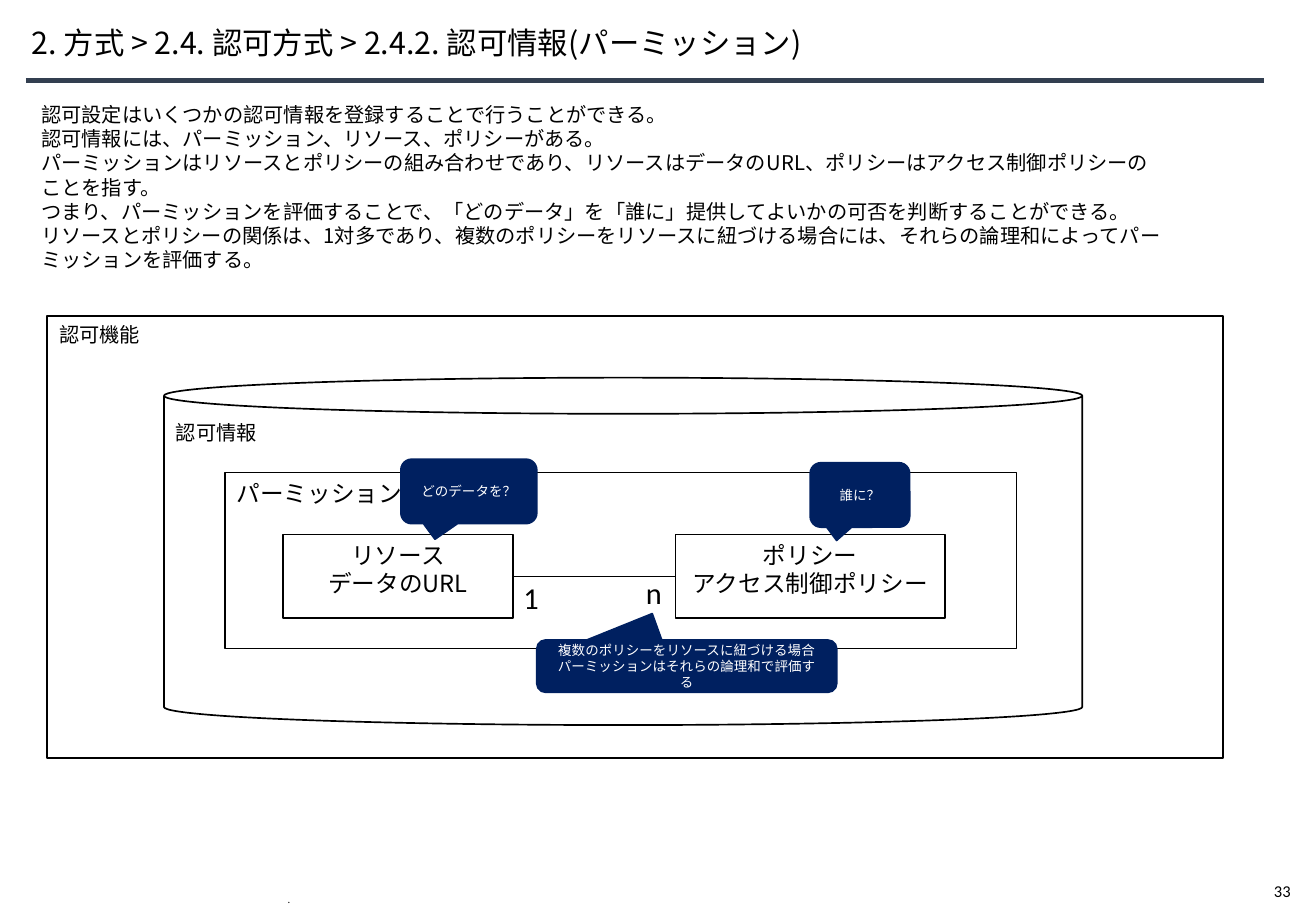
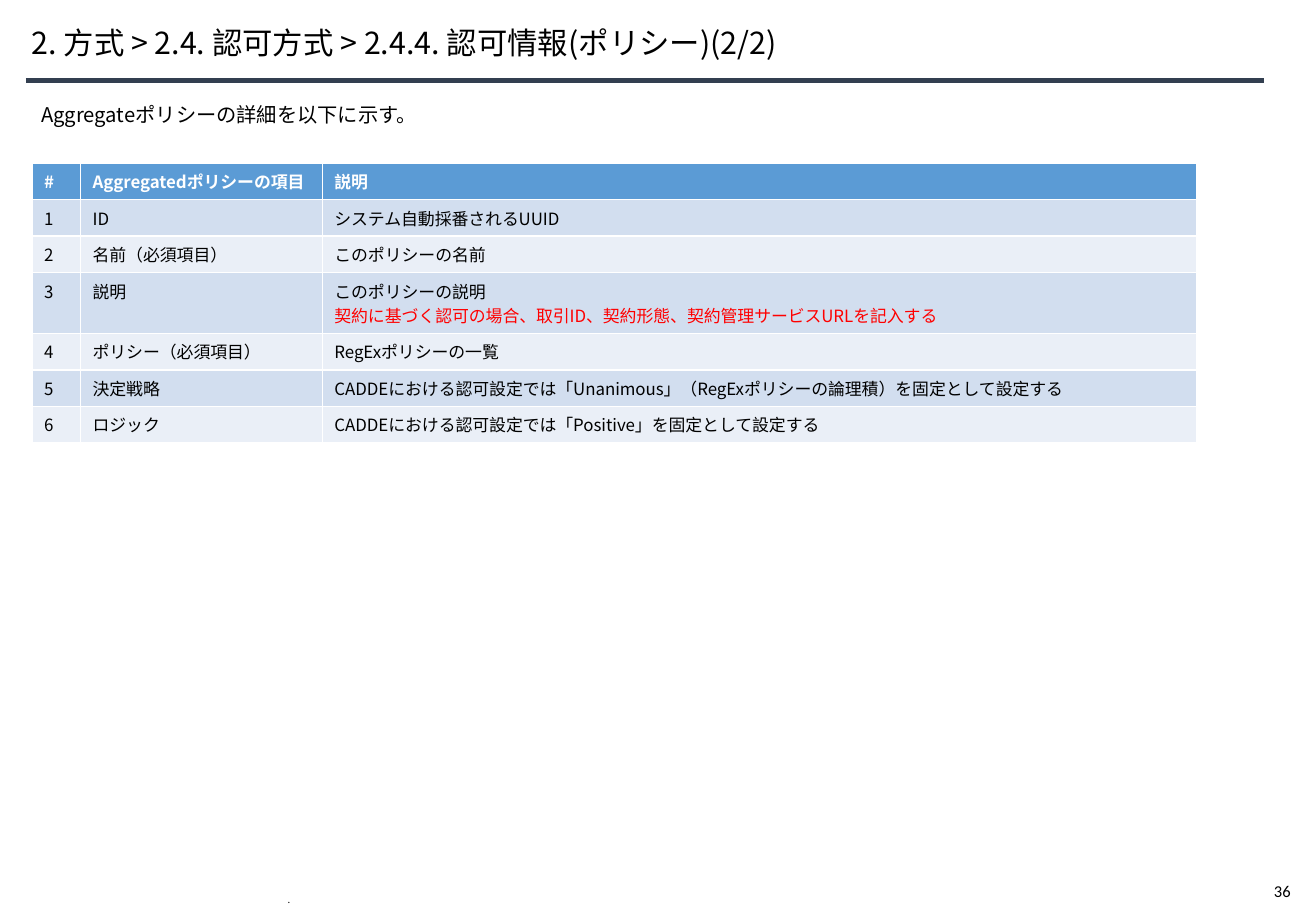
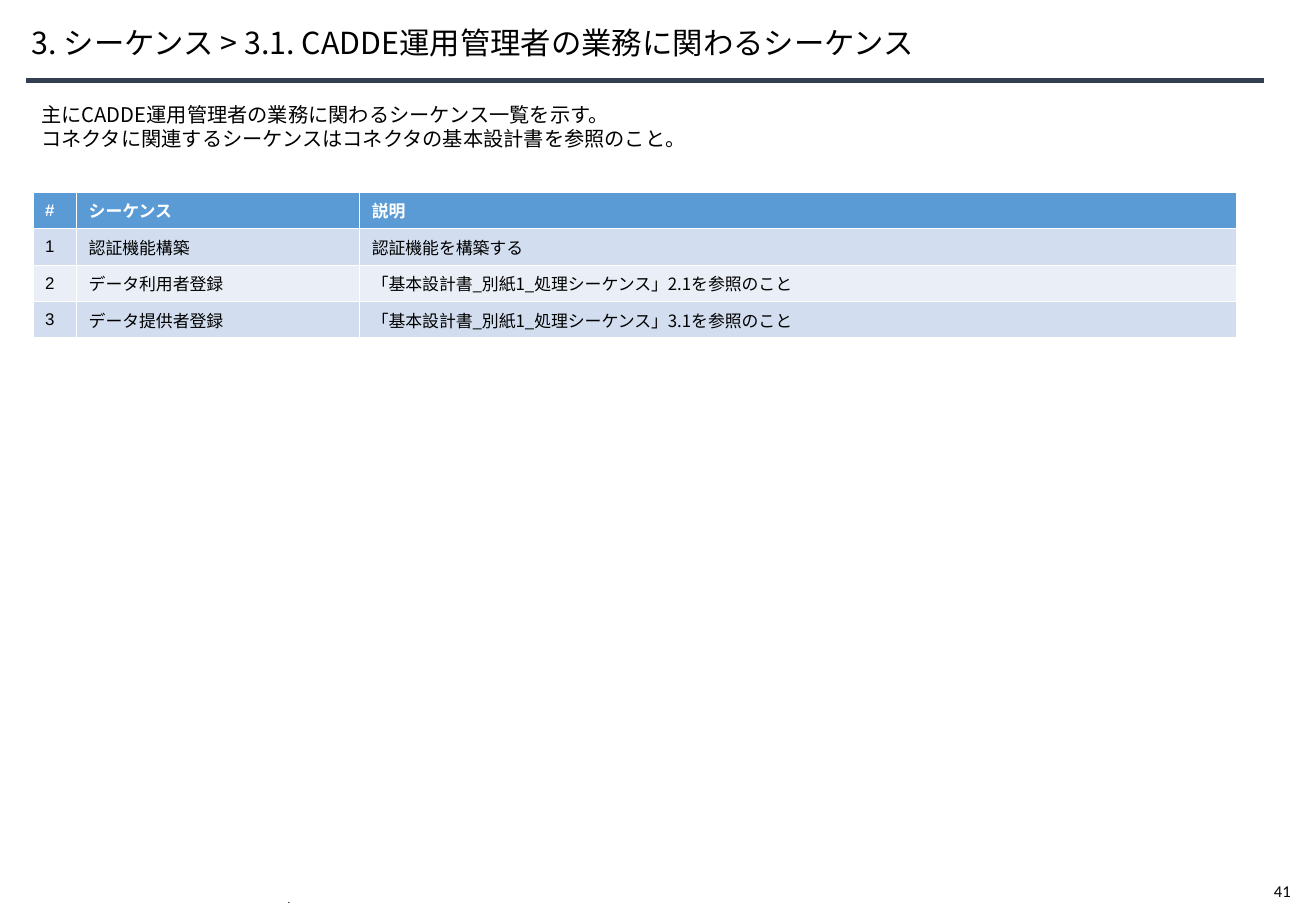
from dataclasses import dataclass

from lxml import etree
from pptx import Presentation
from pptx import util as u
from pptx.dml.color import RGBColor
from pptx.enum import shapes, text
from pptx.oxml.ns import qn


@dataclass(frozen=True)
class Theme:
    ink: str = "000000"
    paper: str = "FFFFFF"
    rule: str = "333F50"
    callout: str = "002060"
    header: str = "5B9BD5"
    bands: tuple = ("D2DEEF", "EAEFF7")
    note: str = "FF0000"
    japanese: str = "Noto Sans CJK JP"
    latin: str = "Calibri"
    index: str = "Arial"
    title: float = 18
    node: float = 14
    body: float = 12
    cell: float = 10
    number: float = 9.8
    small: float = 8
    mark: float = 5.7


theme = Theme()
SHAPE = shapes.MSO_SHAPE
TOP, MIDDLE, BOTTOM = (text.MSO_ANCHOR.TOP, text.MSO_ANCHOR.MIDDLE,
                       text.MSO_ANCHOR.BOTTOM)
LEFT, CENTER = text.PP_ALIGN.LEFT, text.PP_ALIGN.CENTER


def write(frame, content, size, color=theme.ink, face=theme.japanese,
          bold=False, **layout):
    """Fill a text frame, one paragraph for each line of content."""
    frame.text = content
    for paragraph in frame.paragraphs:
        for name, value in {"alignment": LEFT, **layout}.items():
            setattr(paragraph, name, value)
        for run in paragraph.runs:
            for name, value in {"size": u.Pt(size), "bold": bold,
                                "name": face}.items():
                setattr(run.font, name, value)
            run.font.color.rgb = RGBColor.from_string(color)
            latin = run.font._element.find(qn("a:latin"))
            east_asian = etree.Element(qn("a:ea"), typeface=theme.japanese)
            latin.addnext(east_asian)


def add_box(slide, place, content, size, preset=None, anchor=TOP, wrap=True,
            fill=theme.paper, outline=theme.ink, adjust=(), **words):
    """Add a text box, or a filled shape when a preset is given."""
    area = [u.Pt(value) for value in place]
    if preset is None:
        box = slide.shapes.add_textbox(*area)
    else:
        box = slide.shapes.add_shape(preset, *area)
        box.shadow.inherit = False
        box.fill.solid()
        box.fill.fore_color.rgb = RGBColor.from_string(fill)
        box.line.color.rgb = RGBColor.from_string(outline)
        box.line.width = u.Pt(1)
        for index, value in enumerate(adjust):
            box.adjustments[index] = value
    box.text_frame.word_wrap = wrap
    box.text_frame.vertical_anchor = anchor
    write(box.text_frame, content, size, **words)
    return box


deck = Presentation()
deck.slide_width, deck.slide_height = u.Pt(780), u.Pt(540)

# Shared title position
layout = deck.slide_layouts[5]
heading = layout.placeholders[0]
for name, value in {"left": 18.7, "top": 9.4, "width": 714.2,
                    "height": 33.8}.items():
    setattr(heading, name, u.Pt(value))
for name, value in {"margin_left": 0, "margin_right": u.Pt(7.2),
                    "margin_top": u.Pt(3.6), "margin_bottom": u.Pt(3.6),
                    "vertical_anchor": MIDDLE}.items():
    setattr(heading.text_frame, name, value)

# Titles, introductions and page numbers
pages = [
    (33, "2. 方式 > 2.4. 認可方式 > 2.4.2. 認可情報(パーミッション)", 680.4, 85,
     "認可設定はいくつかの認可情報を登録することで行うことができる。\n"
     "認可情報には、パーミッション、リソース、ポリシーがある。\n"
     "パーミッションはリソースとポリシーの組み合わせであり、リソースはデータのURL、"
     "ポリシーはアクセス制御ポリシーのことを指す。\n"
     "つまり、パーミッションを評価することで、「どのデータ」を「誰に」"
     "提供してよいかの可否を判断することができる。\n"
     "リソースとポリシーの関係は、1対多であり、複数のポリシーをリソースに"
     "紐づける場合には、それらの論理和によってパーミッションを評価する。"),
    (36, "2. 方式 > 2.4. 認可方式 > 2.4.4. 認可情報(ポリシー)(2/2)", 680.4, 23.8,
     "Aggregateポリシーの詳細を以下に示す。"),
    (41, "3. シーケンス > 3.1. CADDE運用管理者の業務に関わるシーケンス", 749.5, 39.6,
     "主にCADDE運用管理者の業務に関わるシーケンス一覧を示す。\n"
     "コネクタに関連するシーケンスはコネクタの基本設計書を参照のこと。"),
]
slides = []
for number, title, width, height, intro in pages:
    slide = deck.slides.add_slide(layout)
    write(slide.shapes.title.text_frame, title, theme.title, line_spacing=0.9)
    add_box(slide, (748, 518.4, 26, 19.4), str(number), theme.number,
            wrap=False, face=theme.latin)
    slides.append(slide)
diagram, policy_page, sequence_page = slides

# Title rule and footer mark, moved to the shared layout
title_rule = diagram.shapes.add_connector(
    shapes.MSO_CONNECTOR.STRAIGHT, u.Pt(15.4), u.Pt(47.8), u.Pt(749.5), u.Pt(47.8))
title_rule.line.color.rgb = RGBColor.from_string(theme.rule)
title_rule.line.width = u.Pt(3)
etree.SubElement(title_rule._element.spPr, qn("a:effectLst"))
footer_mark = add_box(diagram, (163.4, 529.9, 453.6, 10.1), ".", theme.mark,
                      anchor=BOTTOM, line_spacing=u.Pt(1.6))
for number, part in enumerate((title_rule, footer_mark), 20):
    part._element.xpath(".//p:cNvPr")[0].set("id", str(number))
    layout.shapes.element.append(part._element)

# Nested containers of the authorization diagram
add_box(diagram, (28, 187.2, 697, 262), "認可機能", theme.body, SHAPE.RECTANGLE)
for slide, (number, title, width, height, intro) in zip(slides, pages):
    add_box(slide, (17.3, 56.9, width, height), intro, theme.body)
add_box(diagram, (97.2, 223.9, 544.3, 205.9), "認可情報", theme.body,
        SHAPE.CAN, adjust=[0.104])
add_box(diagram, (133.2, 280.1, 469.4, 104.4), "パーミッション", theme.node,
        SHAPE.RECTANGLE)

# Resource and policy, related one to many
resource, policy = [
    add_box(diagram, (left, 316.8, width, 49.7), content, theme.node,
            SHAPE.RECTANGLE, alignment=CENTER)
    for left, width, content in [
        (167.8, 136.1, "リソース\nデータのURL"),
        (400.3, 159.8, "ポリシー\nアクセス制御ポリシー")]
]
relation = diagram.shapes.add_connector(shapes.MSO_CONNECTOR.STRAIGHT, 0, 0, 0, 0)
relation.begin_connect(resource, 3)
relation.end_connect(policy, 1)
relation.line.color.rgb = RGBColor.from_string(theme.ink)
relation.line.width = u.Pt(0.5)
etree.SubElement(relation._element.spPr, qn("a:effectLst"))
for left, top, count in [(303.1, 339.8, "1"), (375.8, 337, "n")]:
    add_box(diagram, (left, top, 23.8, 28.8), count, theme.title, face=theme.latin)

# Callouts
for place, pointer, content in [
    ((318.2, 379.4, 177.8, 31), (-0.115, -1.005),
     "複数のポリシーをリソースに紐づける場合\nパーミッションはそれらの論理和で評価する"),
    ((237.6, 272.2, 80.6, 38.2), (-0.249, 0.742), "どのデータを？"),
    ((480.2, 274.3, 59, 38.2), (-0.234, 0.706), "誰に？"),
]:
    add_box(diagram, place, content, theme.small, SHAPE.ROUNDED_RECTANGULAR_CALLOUT,
            anchor=MIDDLE, fill=theme.callout, outline=theme.callout,
            adjust=(*pointer, 0.167), color=theme.paper, alignment=CENTER)

# Tables: a second line in a cell is a note
tables = [
    (policy_page, (18.9, 96.8), (28.8, 143.3, 518.4), TOP, (theme.japanese,) * 3, [
        ("#", "Aggregatedポリシーの項目", "説明"),
        ("1", "ID", "システム自動採番されるUUID"),
        ("2", "名前（必須項目）", "このポリシーの名前"),
        ("3", "説明", "このポリシーの説明\n"
         "契約に基づく認可の場合、取引ID、契約形態、契約管理サービスURLを記入する"),
        ("4", "ポリシー（必須項目）", "RegExポリシーの一覧"),
        ("5", "決定戦略", "CADDEにおける認可設定では「Unanimous」"
         "（RegExポリシーの論理積）を固定として設定する"),
        ("6", "ロジック", "CADDEにおける認可設定では「Positive」を固定として設定する"),
    ]),
    (sequence_page, (19.5, 114), (25.9, 167.8, 519.8), MIDDLE,
     (theme.index, theme.index, theme.japanese), [
        ("#", "シーケンス", "説明"),
        ("1", "認証機能構築", "認証機能を構築する"),
        ("2", "データ利用者登録", "「基本設計書_別紙1_処理シーケンス」2.1を参照のこと"),
        ("3", "データ提供者登録", "「基本設計書_別紙1_処理シーケンス」3.1を参照のこと"),
    ]),
]
for slide, (left, top), widths, anchor, faces, rows in tables:
    heights = [36 if "\n" in row[-1] else 21.6 for row in rows]
    grid = slide.shapes.add_table(
        len(rows), len(widths), u.Pt(left), u.Pt(top),
        u.Pt(sum(widths)), u.Pt(sum(heights))).table
    for column, width in zip(grid.columns, widths):
        column.width = u.Pt(width)
    for r, row in enumerate(rows):
        grid.rows[r].height = u.Pt(heights[r])
        for c, content in enumerate(row):
            cell = grid.cell(r, c)
            cell.vertical_anchor = anchor
            cell.fill.solid()
            cell.fill.fore_color.rgb = RGBColor.from_string(
                theme.bands[(r - 1) % 2] if r else theme.header)
            write(cell.text_frame, content, theme.cell, face=faces[c],
                  color=theme.ink if r else theme.paper, bold=r == 0)
            for note in cell.text_frame.paragraphs[1:]:
                note.runs[0].font.color.rgb = RGBColor.from_string(theme.note)

deck.save("out.pptx")
